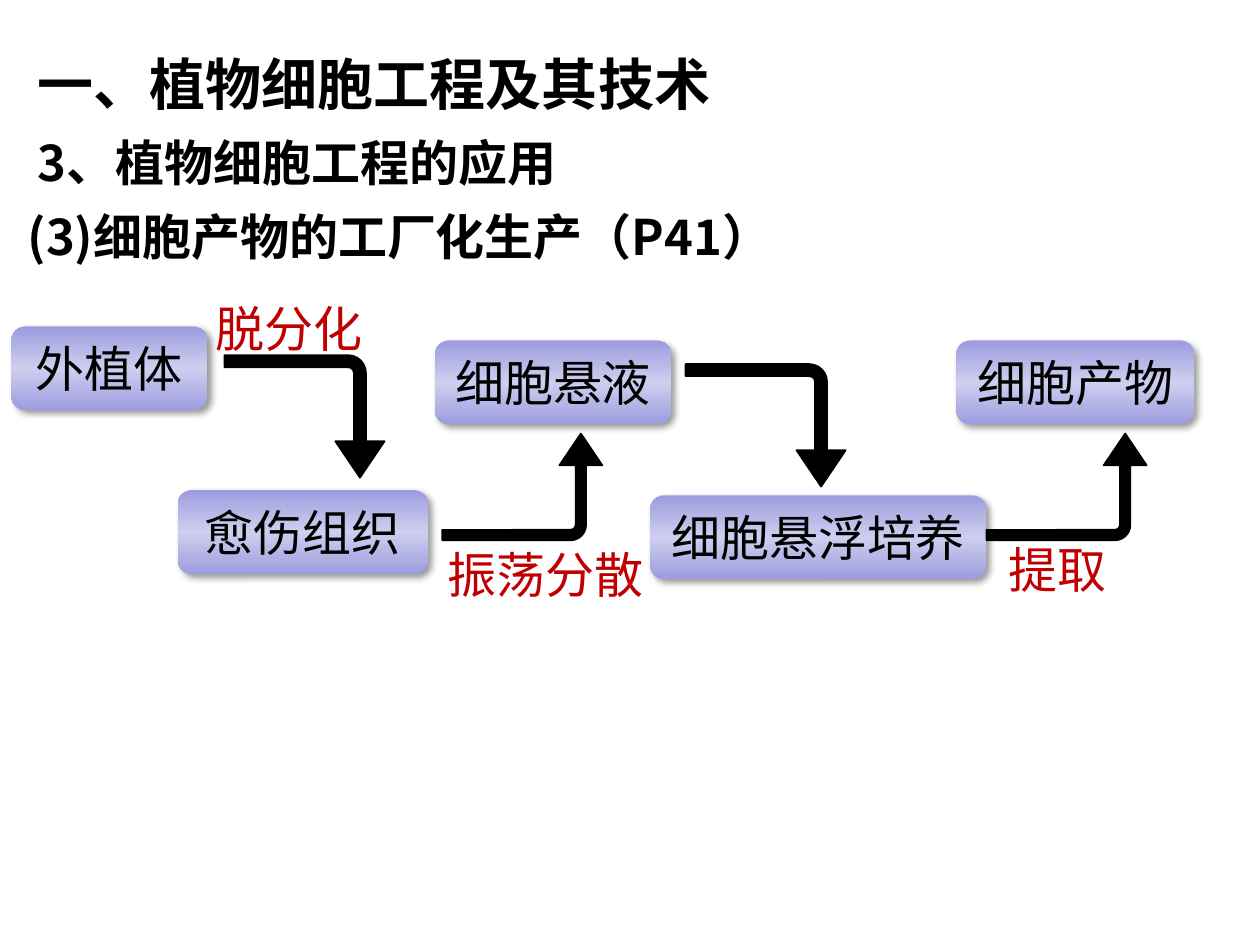
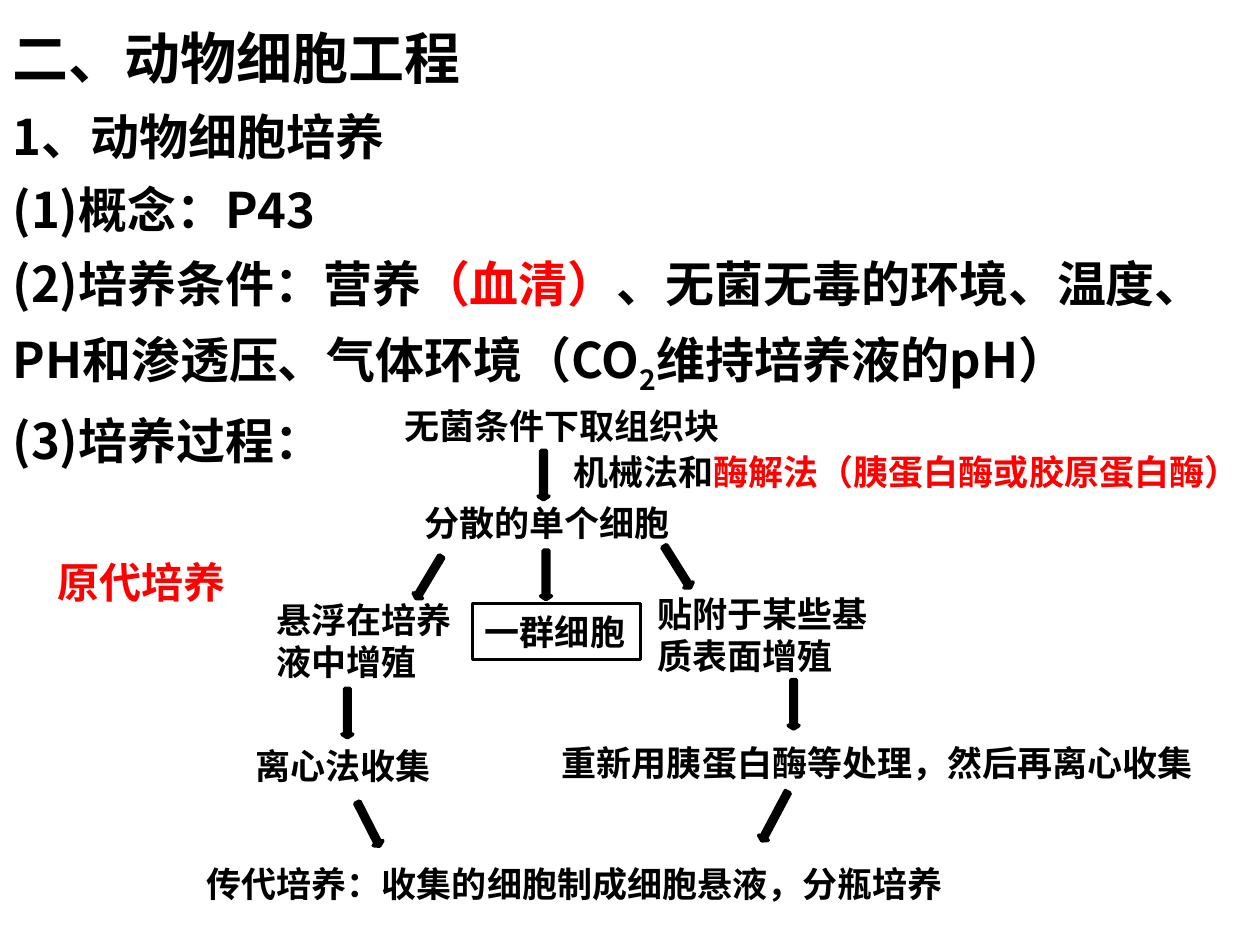
"""Build two slides on plant and animal cell engineering."""
from dataclasses import dataclass

from lxml import etree
from pptx import Presentation
from pptx.dml.color import RGBColor
from pptx.enum.shapes import MSO_SHAPE as Shape
from pptx.enum.text import MSO_ANCHOR as Anchor, MSO_AUTO_SIZE as AutoSize, PP_ALIGN as Align
from pptx.oxml import parse_xml
from pptx.oxml.ns import nsdecls, qn
from pptx.util import Pt


@dataclass(frozen=True)
class Theme:
    ink: str = "000000"
    red: str = "FF0000"
    dark_red: str = "C00000"
    node_edge: str = "9C9CDF"
    node_centre: str = "CECEEF"
    heading_font: str = "Noto Sans CJK SC"
    node_font: str = "Arial"
    title_size: int = 32
    body_size: int = 28
    stage_size: int = 24
    step_size: int = 20
    line_spacing: float = 1.25
    title_pitch: float = 48.8


THEME = Theme()


def add_run(paragraph, text, *, size, font=THEME.heading_font, colour=THEME.ink,
            bold=False, baseline=None):
    run = paragraph.add_run()
    run.text = text
    run.font.size = Pt(size)
    run.font.bold = bold
    run.font.name = font
    run.font.color.rgb = RGBColor.from_string(colour)
    properties = run.font._element
    properties.find(qn("a:latin")).addnext(
        parse_xml(f'<a:ea {nsdecls("a")} typeface="{THEME.heading_font}"/>'))
    if baseline is not None:
        properties.set("baseline", str(baseline * 1000))


class Deck:
    def __init__(self, theme):
        self.theme = theme
        self.prs = Presentation()
        self.prs.slide_width, self.prs.slide_height = Pt(720), Pt(540)
        self.slide = None

    def place(self, shape, left, top, width, height):
        shape.left, shape.top = Pt(left), Pt(top)
        shape.width, shape.height = Pt(width), Pt(height)

    def fill_placeholder(self, holder, lines, size, indents=()):
        frame = holder.text_frame
        frame.auto_size = AutoSize.NONE
        frame.vertical_anchor = Anchor.TOP
        frame.word_wrap = True
        for index, runs in enumerate(lines):
            line = frame.paragraphs[0] if index == 0 else frame.add_paragraph()
            line.alignment = Align.LEFT
            line.line_spacing = self.theme.line_spacing
            line.space_before = Pt(0)
            properties = line._p.get_or_add_pPr()
            indent = indents[index] if index < len(indents) else 0
            properties.set("marL", str(Pt(indent)))
            properties.set("indent", "0")
            etree.SubElement(properties, qn("a:buNone"))
            for text, style in runs:
                add_run(line, text, size=size, bold=True, **style)

    def start(self, title, lines, left, top, body_left, width, height, indents=()):
        self.slide = self.prs.slides.add_slide(self.prs.slide_layouts[1])
        heading, outline = self.slide.placeholders
        self.place(heading, left, top, width, self.theme.title_pitch + 8)
        self.place(outline, body_left, top + self.theme.title_pitch, width, height)
        self.fill_placeholder(heading, [[(title, {})]], self.theme.title_size)
        self.fill_placeholder(outline, lines, self.theme.body_size, indents)

    def label(self, runs, left, top, width, height, **style):
        box = self.slide.shapes.add_textbox(Pt(left), Pt(top), Pt(width), Pt(height))
        box.text_frame.word_wrap = True
        for text, colour in runs:
            add_run(box.text_frame.paragraphs[0], text, colour=colour, **style)

    def step(self, text, left, top, width, height=32):
        self.label([(text, self.theme.ink)], left, top, width, height,
                   size=self.theme.step_size, bold=True)

    def preset(self, kind, left, top, width, height):
        shape = self.slide.shapes.add_shape(kind, Pt(left), Pt(top), Pt(width), Pt(height))
        shape.shadow.inherit = False
        return shape

    def node(self, text, left, top, width, height=48):
        node = self.preset(Shape.ROUNDED_RECTANGLE, left, top, width, height)
        node.line.fill.background()
        node.fill.gradient()
        node.fill.gradient_angle = 90
        stops = node._element.spPr.find(qn("a:gradFill")).find(qn("a:gsLst"))
        for stop in list(stops):
            stops.remove(stop)
        edge, centre = self.theme.node_edge, self.theme.node_centre
        for position, colour in ((0, edge), (50, centre), (100, edge)):
            stops.append(parse_xml(
                f'<a:gs {nsdecls("a")} pos="{position * 1000}"><a:srgbClr val="{colour}"/></a:gs>'))
        node._element.spPr.find(qn("a:effectLst")).append(parse_xml(
            f'<a:outerShdw {nsdecls("a")} blurRad="{Pt(4)}" dist="{Pt(3)}" dir="2700000" '
            f'algn="tl" rotWithShape="0"><a:srgbClr val="{self.theme.ink}">'
            '<a:alpha val="40000"/></a:srgbClr></a:outerShdw>'))
        frame = node.text_frame
        frame.word_wrap = True
        frame.vertical_anchor = Anchor.MIDDLE
        frame.paragraphs[0].alignment = Align.CENTER
        add_run(frame.paragraphs[0], text, size=self.theme.body_size, font=self.theme.node_font)

    def framed_step(self, text, left, top, width, height):
        frame = self.preset(Shape.RECTANGLE, left, top, width, height)
        frame.fill.background()
        frame.line.color.rgb = RGBColor.from_string(self.theme.ink)
        frame.line.width = Pt(1.5)
        frame.text_frame.word_wrap = True
        frame.text_frame.paragraphs[0].alignment = Align.LEFT
        add_run(frame.text_frame.paragraphs[0], text, size=self.theme.step_size, bold=True)

    def arrow(self, kind, left, top, width, height, angle, adjustments, weight):
        arrow = self.preset(kind, left, top, width, height)
        arrow.rotation = angle
        for index, value in enumerate(adjustments):
            arrow.adjustments[index] = value
        ink = RGBColor.from_string(self.theme.ink)
        arrow.fill.solid()
        arrow.fill.fore_color.rgb = ink
        arrow.line.color.rgb = ink
        arrow.line.width = Pt(weight)
        return arrow

    def bent_arrow(self, left, top, height_drop, rising=False):
        arrow = self.arrow(Shape.BENT_ARROW, left, top, height_drop, 91.5, 90,
                           (0.098, 0.201, 0.297, 0.146), 1)
        if rising:
            arrow._element.spPr.find(qn("a:xfrm")).set("flipH", "1")

    def straight_arrow(self, left, top, angle, length=28):
        self.arrow(Shape.RIGHT_ARROW, left, top, length, 6, angle, (0.5, 0.317), 2.25)


def build_plant_slide(deck):
    theme = deck.theme
    deck.start("一、植物细胞工程及其技术",
               [[("3、植物细胞工程的应用", {})], [("(3)细胞产物的工厂化生产（P41）", {})]],
               left=14.4, top=15.1, body_left=8.6, width=474, height=94, indents=(5.8,))
    upper, lower = 194.5, 281
    for text, left, top, width in (
            ("外植体", 6.5, 186.5, 112), ("愈伤组织", 101.5, lower - 1, 143),
            ("细胞悬液", 248.5, upper, 135), ("细胞悬浮培养", 371.5, lower + 2, 192),
            ("细胞产物", 546.5, upper, 136)):
        deck.node(text, left, top, width)
    for left, top in ((139, 192.2), (402.5, 197.3)):
        deck.bent_arrow(left, top, 70)
    for left in (268, 579):
        deck.bent_arrow(left, 232.5, 61, rising=True)
    for text, left, top, width in (
            ("脱分化", 116, 167, 106), ("振荡分散", 248.5, 307.5, 128), ("提取", 569.5, 304.5, 80)):
        deck.label([(text, theme.dark_red)], left, top, width, 41, size=theme.body_size)


def build_animal_slide(deck):
    theme = deck.theme
    conditions = [("(2)培养条件：营养", {}), ("（血清）", {"colour": theme.red}),
                  ("、无菌无毒的环境、温度、PH和渗透压、气体环境（CO", {}),
                  ("2", {"baseline": -25}), ("维持培养液的pH）", {})]
    deck.start("二、动物细胞工程",
               [[("1、动物细胞培养", {})], [("(1)概念：P43", {})], conditions,
                [("(3)培养过程：", {})]],
               left=0, top=0, body_left=0, width=703.5, height=230)
    for text, left, top, width, height in (
            ("无菌条件下取组织块", 224, 227.5, 207, 32),
            ("分散的单个细胞", 235.5, 283, 207, 32),
            ("悬浮在培养液中增殖", 151, 338.5, 119, 55),
            ("贴附于某些基质表面增殖", 368.5, 335, 141, 55),
            ("离心法收集", 139, 422, 143, 32),
            ("重新用胰蛋白酶等处理，然后再离心收集", 314, 420, 390, 32),
            ("传代培养：收集的细胞制成细胞悬液，分瓶培养", 111, 489.5, 443, 32)):
        deck.step(text, left, top, width, height)
    deck.label([("机械法和", theme.ink), ("酶解法（胰蛋白酶或胶原蛋白酶）", theme.red)],
               320.5, 254, 413, 32, size=theme.step_size, bold=True)
    deck.label([("原代培养", theme.red)], 26, 314.5, 129, 36,
               size=theme.stage_size, font=theme.node_font, bold=True)
    deck.framed_step("一群细胞", 270, 345, 96, 32)
    for left, top, angle in (
            (296.6, 268.5, 90), (298, 325.5, 90), (231, 327, 121), (373, 321, 58),
            (184.5, 404.5, 90), (439.5, 399.5, 90), (196.5, 468, 63)):
        deck.straight_arrow(left, top, angle)
    deck.straight_arrow(427, 463.5, 118, length=31.5)


def main():
    deck = Deck(THEME)
    build_plant_slide(deck)
    build_animal_slide(deck)
    deck.prs.save("out.pptx")


if __name__ == "__main__":
    main()
